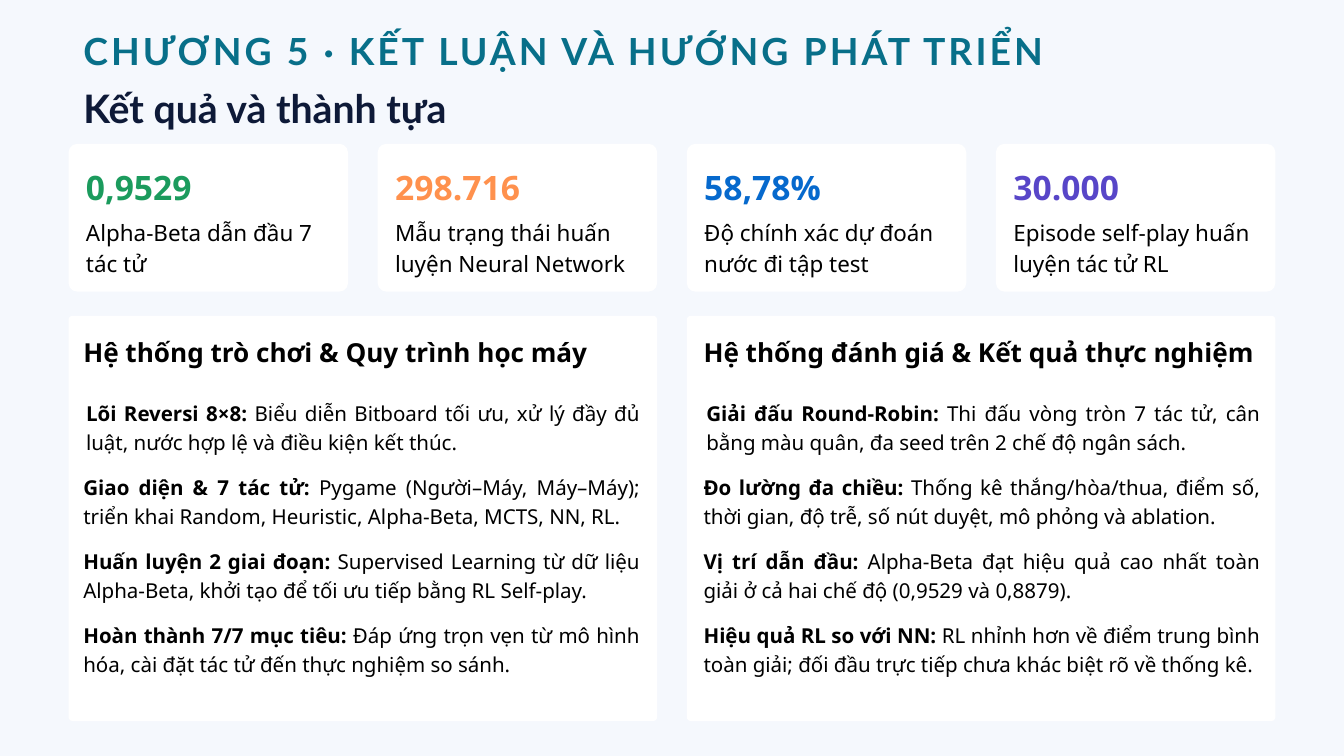
from dataclasses import dataclass

from lxml.etree import SubElement
from pptx import Presentation
from pptx.dml.color import RGBColor
from pptx.enum.shapes import MSO_SHAPE
from pptx.enum.text import MSO_ANCHOR, MSO_AUTO_SIZE, PP_ALIGN
from pptx.oxml.ns import qn
from pptx.util import Inches, Pt


@dataclass(frozen=True)
class Theme:
    background: str = "F5F8FD"
    surface: str = "FFFFFF"
    text: str = "000000"
    title: str = "0E1A38"
    chapter: str = "086F89"
    green: str = "1B9B5D"
    orange: str = "FF914D"
    blue: str = "0669CD"
    purple: str = "5846C8"
    heading_font: str = "Lato"
    body_font: str = "Noto Sans"
    title_size: float = 42
    chapter_size: float = 40
    figure_size: float = 36
    heading_size: float = 28
    caption_size: float = 24
    body_size: float = 22


theme = Theme()


def write_text(shape, box, paragraphs, size, line, color=theme.text, font=theme.body_font,
               align=PP_ALIGN.LEFT, gap=0, first_indent=0):
    shape.left, shape.top, shape.width, shape.height = [Inches(length) for length in box]
    frame = shape.text_frame
    frame.word_wrap = True
    frame.auto_size = MSO_AUTO_SIZE.NONE
    frame.vertical_anchor = MSO_ANCHOR.TOP
    frame.margin_left = frame.margin_top = frame.margin_right = frame.margin_bottom = 0
    for index, runs in enumerate(paragraphs):
        paragraph = frame.paragraphs[0] if index == 0 else frame.add_paragraph()
        properties = paragraph._p.get_or_add_pPr()
        properties.set("marL", str(Inches(first_indent if index == 0 else 0)))
        properties.set("indent", "0")
        SubElement(properties, qn("a:buNone"))
        paragraph.alignment = align
        paragraph.line_spacing = Pt(line)
        paragraph.space_before = Pt(gap if index else 0)
        paragraph.space_after = Pt(0)
        for text, bold in runs:
            run = paragraph.add_run()
            run.text = text
            run.font.name = font
            run.font.size = Pt(size)
            run.font.bold = bold
            run.font.color.rgb = RGBColor.from_string(color)


def add_panel(slide, left, top, width, height, radius):
    panel = slide.shapes.add_shape(MSO_SHAPE.ROUNDED_RECTANGLE, Inches(left), Inches(top),
                                   Inches(width), Inches(height))
    panel.adjustments[0] = radius / min(width, height)
    panel.shadow.inherit = False
    panel.fill.solid()
    panel.fill.fore_color.rgb = RGBColor.from_string(theme.surface)
    panel.line.fill.background()
    slide.shapes.title.element.addprevious(panel.element)


presentation = Presentation()
presentation.slide_width = Inches(20)
presentation.slide_height = Inches(11.25)
slide = presentation.slides.add_slide(presentation.slide_layouts[4])
slide.background.fill.solid()
slide.background.fill.fore_color.rgb = RGBColor.from_string(theme.background)

write_text(slide.shapes.title, (1.24, 1.31, 10.24, 0.64), [[("Kết quả và thành tựa", True)]],
           theme.title_size, 46.2, theme.title, theme.heading_font)

chapter = slide.shapes.add_textbox(0, 0, 0, 0)
write_text(chapter, (1.24, 0.42, 17.85, 0.66),
           [[("CHƯƠNG 5 · KẾT LUẬN VÀ HƯỚNG PHÁT TRIỂN", True)]],
           theme.chapter_size, 48, theme.chapter, theme.heading_font)
chapter.text_frame.paragraphs[0].runs[0].font._element.set("spc", "330")

margin = 1.02
gutter = 0.44
card_width = 4.16
panel_width = 2 * card_width + gutter

cards = [
    ("0,9529", "Alpha-Beta dẫn đầu 7 tác tử", theme.green),
    ("298.716", "Mẫu trạng thái huấn luyện Neural Network", theme.orange),
    ("58,78%", "Độ chính xác dự đoán nước đi tập test", theme.blue),
    ("30.000", "Episode self-play huấn luyện tác tử RL", theme.purple),
]
for index, (figure, caption, color) in enumerate(cards):
    left = margin + index * (card_width + gutter)
    add_panel(slide, left, 2.14, card_width, 2.2, 0.13)
    write_text(slide.shapes.add_textbox(0, 0, 0, 0), (left + 0.26, 2.38, 3.63, 0.65),
               [[(figure, True)]], theme.figure_size, 50.4, color)
    write_text(slide.shapes.add_textbox(0, 0, 0, 0), (left + 0.26, 3.19, 3.63, 0.88),
               [[(caption, False)]], theme.caption_size, 33.6)

columns = [
    (1.24, 8.24, "Hệ thống trò chơi & Quy trình học máy", [
        ("Lõi Reversi 8×8:",
         " Biểu diễn Bitboard tối ưu, xử lý đầy đủ luật, nước hợp lệ và điều kiện kết thúc."),
        ("Giao diện & 7 tác tử:",
         " Pygame (Người–Máy, Máy–Máy); triển khai Random, Heuristic, Alpha-Beta, MCTS, NN, RL."),
        ("Huấn luyện 2 giai đoạn:",
         " Supervised Learning từ dữ liệu Alpha-Beta, khởi tạo để tối ưu tiếp bằng RL Self-play."),
        ("Hoàn thành 7/7 mục tiêu:",
         " Đáp ứng trọn vẹn từ mô hình hóa, cài đặt tác tử đến thực nghiệm so sánh."),
    ]),
    (10.47, 9.03, "Hệ thống đánh giá & Kết quả thực nghiệm", [
        ("Giải đấu Round-Robin:",
         " Thi đấu vòng tròn 7 tác tử, cân bằng màu quân, đa seed trên 2 chế độ ngân sách."),
        ("Đo lường đa chiều:",
         " Thống kê thắng/hòa/thua, điểm số, thời gian, độ trễ, số nút duyệt, mô phỏng và ablation."),
        ("Vị trí dẫn đầu:",
         " Alpha-Beta đạt hiệu quả cao nhất toàn giải ở cả hai chế độ (0,9529 và 0,8879)."),
        ("Hiệu quả RL so với NN:",
         " RL nhỉnh hơn về điểm trung bình toàn giải; đối đầu trực tiếp chưa khác biệt rõ về thống kê."),
    ]),
]
for index, (left, heading_width, heading, items) in enumerate(columns):
    add_panel(slide, margin + index * (panel_width + gutter), 4.7, panel_width, 6.03, 0.06)
    write_text(slide.placeholders[1 + 2 * index], (left, 4.93, heading_width, 0.53),
               [[(heading, True)]], theme.heading_size, 39.2)
    write_text(slide.placeholders[2 + 2 * index], (left, 5.91, 8.28, 4.55),
               [[(label, True), (detail, False)] for label, detail in items],
               theme.body_size, 30.8, align=PP_ALIGN.JUSTIFY, gap=17.5, first_indent=0.04)

presentation.save("out.pptx")
